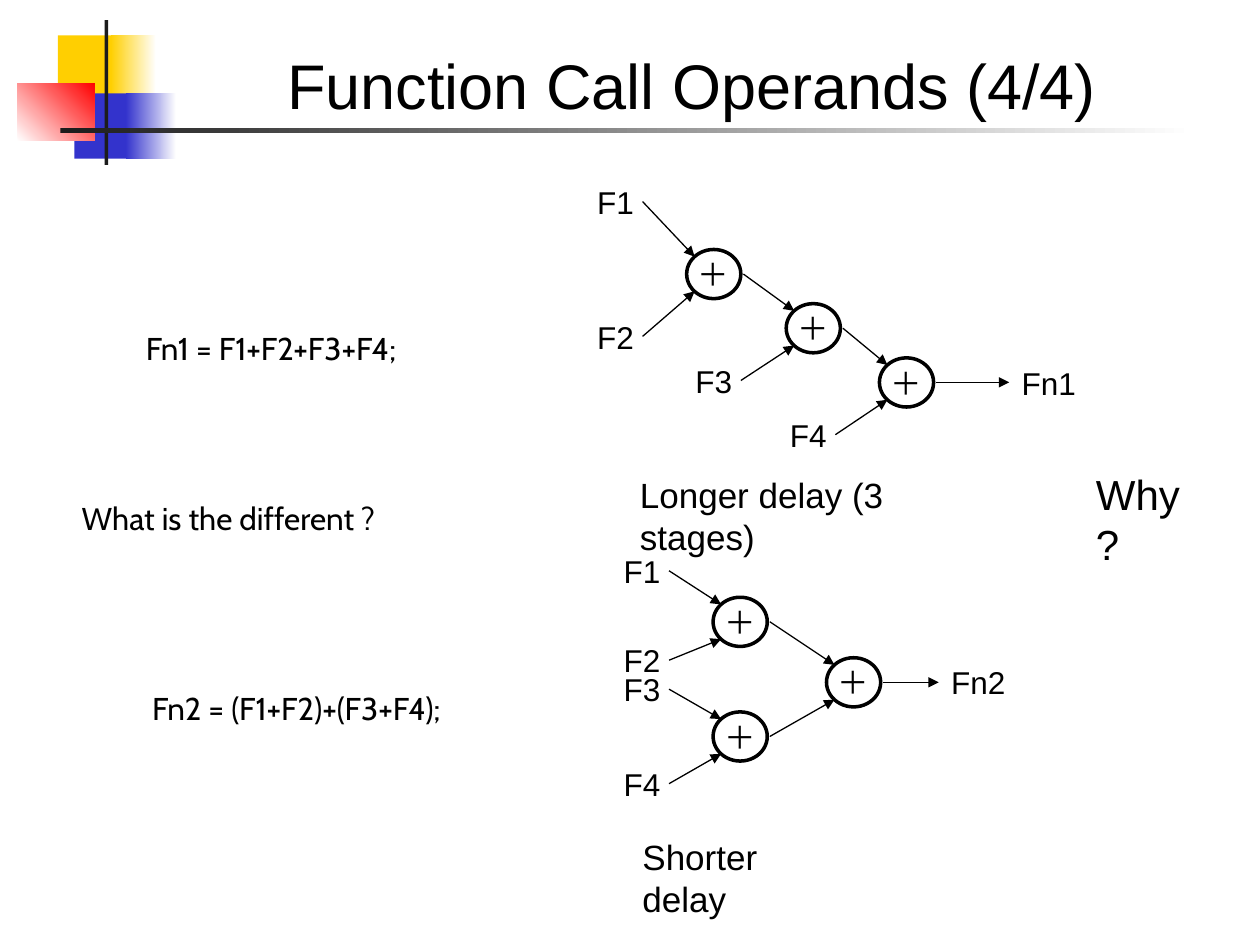
from math import sqrt

from lxml import etree
from pptx import Presentation
from pptx.dml.color import RGBColor
from pptx.enum import shapes, text
from pptx.oxml import ns
from pptx.util import Inches, Pt

BLACK = RGBColor(0x00, 0x00, 0x00)
WHITE = RGBColor(0xFF, 0xFF, 0xFF)
DARK = RGBColor(0x1C, 0x1C, 0x1C)
GOLD = RGBColor(0xFF, 0xCF, 0x01)
BLUE = RGBColor(0x33, 0x33, 0xCC)
RED = RGBColor(0xFF, 0x00, 0x00)

ALIGN = text.PP_ALIGN
ANCHOR = text.MSO_ANCHOR
KIND = shapes.MSO_SHAPE

NODE_W, NODE_H = 0.43, 0.39
LABEL_W, LABEL_H = 0.91, 0.59


def write(shape, words, size=18, font="Arial", align=ALIGN.LEFT,
          anchor=ANCHOR.TOP, wrap=False):
    """Put formatted text into a shape."""
    frame = shape.text_frame
    frame.word_wrap = wrap
    frame.vertical_anchor = anchor
    para = frame.paragraphs[0]
    para.alignment = align
    run = para.add_run()
    run.text = words
    run.font.size = Pt(size)
    run.font.name = font
    run.font.color.rgb = BLACK


def label(slide, words, left, top, width, height, **style):
    """Add a text box."""
    box = slide.shapes.add_textbox(*map(Inches, (left, top, width, height)))
    write(box, words, **style)


def block(slide, left, top, width, height, start, end=None, angle=0):
    """Add a borderless rectangle, plain or with a gradient."""
    rect = slide.shapes.add_shape(
        KIND.RECTANGLE, *map(Inches, (left, top, width, height)))
    rect.shadow.inherit = False
    rect.line.fill.background()
    if end is None:
        rect.fill.solid()
        rect.fill.fore_color.rgb = start
        return
    rect.fill.gradient()
    rect.fill.gradient_angle = angle
    for stop, color in zip(rect.fill.gradient_stops, (start, end)):
        stop.color.rgb = color


def arrow(slide, start, end):
    """Draw a thin arrow between two points."""
    line = slide.shapes.add_connector(
        shapes.MSO_CONNECTOR.STRAIGHT, *map(Inches, (*start, *end)))
    line.line.color.rgb = BLACK
    line.line.width = Pt(0.75)
    tail = etree.SubElement(line.line._get_or_add_ln(), ns.qn("a:tailEnd"))
    tail.set("type", "triangle")
    etree.SubElement(line._element.spPr, ns.qn("a:effectLst"))


def adder(slide, left, top):
    """Add a plus node and return its upper input, lower input and output."""
    node = slide.shapes.add_shape(
        KIND.OVAL, *map(Inches, (left, top, NODE_W, NODE_H)))
    node.shadow.inherit = False
    node.fill.background()
    node.line.color.rgb = BLACK
    node.line.width = Pt(2)
    write(node, "＋", align=ALIGN.CENTER, anchor=ANCHOR.MIDDLE)
    inset = (1 - sqrt(0.5)) / 2
    near = left + NODE_W * inset
    upper = (near, top + NODE_H * inset)
    lower = (near, top + NODE_H * (1 - inset))
    return upper, lower, (left + NODE_W + 0.02, top + NODE_H / 2)


def operand(slide, words, right, mid, goal):
    """Add an input label with an arrow to its adder."""
    label(slide, words, right - LABEL_W + 0.03, mid - LABEL_H / 2,
          LABEL_W, LABEL_H, align=ALIGN.RIGHT, anchor=ANCHOR.MIDDLE)
    arrow(slide, (right, mid), goal)


def result(slide, words, start, left):
    """Add an output label with an arrow from its adder."""
    mid = start[1]
    arrow(slide, start, (left, mid))
    label(slide, words, left, mid - LABEL_H / 2, LABEL_W, LABEL_H,
          anchor=ANCHOR.MIDDLE)


def chain(slide):
    """Draw the three-stage adder chain."""
    first, second, third = [
        adder(slide, left, top)
        for left, top in ((5.45, 1.98), (6.24, 2.41), (6.98, 2.84))]
    operand(slide, "F1", 5.1, 1.6, first[0])
    operand(slide, "F2", 5.1, 2.67, first[1])
    operand(slide, "F3", 5.88, 3.02, second[1])
    operand(slide, "F4", 6.63, 3.45, third[1])
    arrow(slide, first[2], second[0])
    arrow(slide, second[2], third[0])
    result(slide, "Fn1", third[2], 8.01)


def tree(slide):
    """Draw the balanced adder tree."""
    top, low, last = [
        adder(slide, left, y)
        for left, y in ((5.66, 4.74), (5.66, 5.65), (6.56, 5.22))]
    goals = top[:2] + low[:2]
    for num, (mid, goal) in enumerate(zip((4.53, 5.24, 5.47, 6.22), goals), 1):
        operand(slide, f"F{num}", 5.31, mid, goal)
    arrow(slide, top[2], last[0])
    arrow(slide, low[2], last[1])
    result(slide, "Fn2", last[2], 7.45)


def decor(slide):
    """Draw the coloured blocks and rules behind the title."""
    block(slide, 0.46, 0.28, 0.48, 0.52, GOLD)
    block(slide, 0.88, 0.28, 0.36, 0.52, GOLD, WHITE)
    block(slide, 0.59, 0.74, 0.46, 0.52, BLUE)
    block(slide, 1, 0.74, 0.4, 0.52, BLUE, WHITE)
    block(slide, 0.14, 0.66, 0.61, 0.46, WHITE, RED, angle=45)
    block(slide, 0.83, 0.16, 0.03, 1.15, DARK)
    block(slide, 0.48, 1.02, 9, 0.04, DARK, WHITE)


def main():
    """Build the slide and save it."""
    deck = Presentation()
    deck.slide_width, deck.slide_height = Inches(10), Inches(7.5)
    slide = deck.slides.add_slide(deck.slide_layouts[6])
    decor(slide)
    label(slide, "Function Call Operands (4/4)", 1.23, 0.18, 8.52, 0.84,
          size=36, align=ALIGN.CENTER, anchor=ANCHOR.BOTTOM, wrap=True)
    chain(slide)
    tree(slide)
    label(slide, "Fn1 = F1+F2+F3+F4;", 1.06, 2.56, 2.49, 0.4, font="Cabin")
    label(slide, "Fn2 = (F1+F2)+(F3+F4);", 1.11, 5.42, 2.79, 0.4, font="Cabin")
    label(slide, "Longer delay (3 stages)", 4.98, 3.71, 3.12, 0.44, size=20)
    label(slide, "Shorter delay", 5, 6.58, 1.85, 0.44, size=20)
    label(slide, "Why ?", 8.6, 3.67, 1.14, 0.5, size=24)
    label(slide, "What is the different ?", 0.55, 3.91, 2.77, 0.4, font="Cabin")
    deck.save("out.pptx")


if __name__ == "__main__":
    main()
